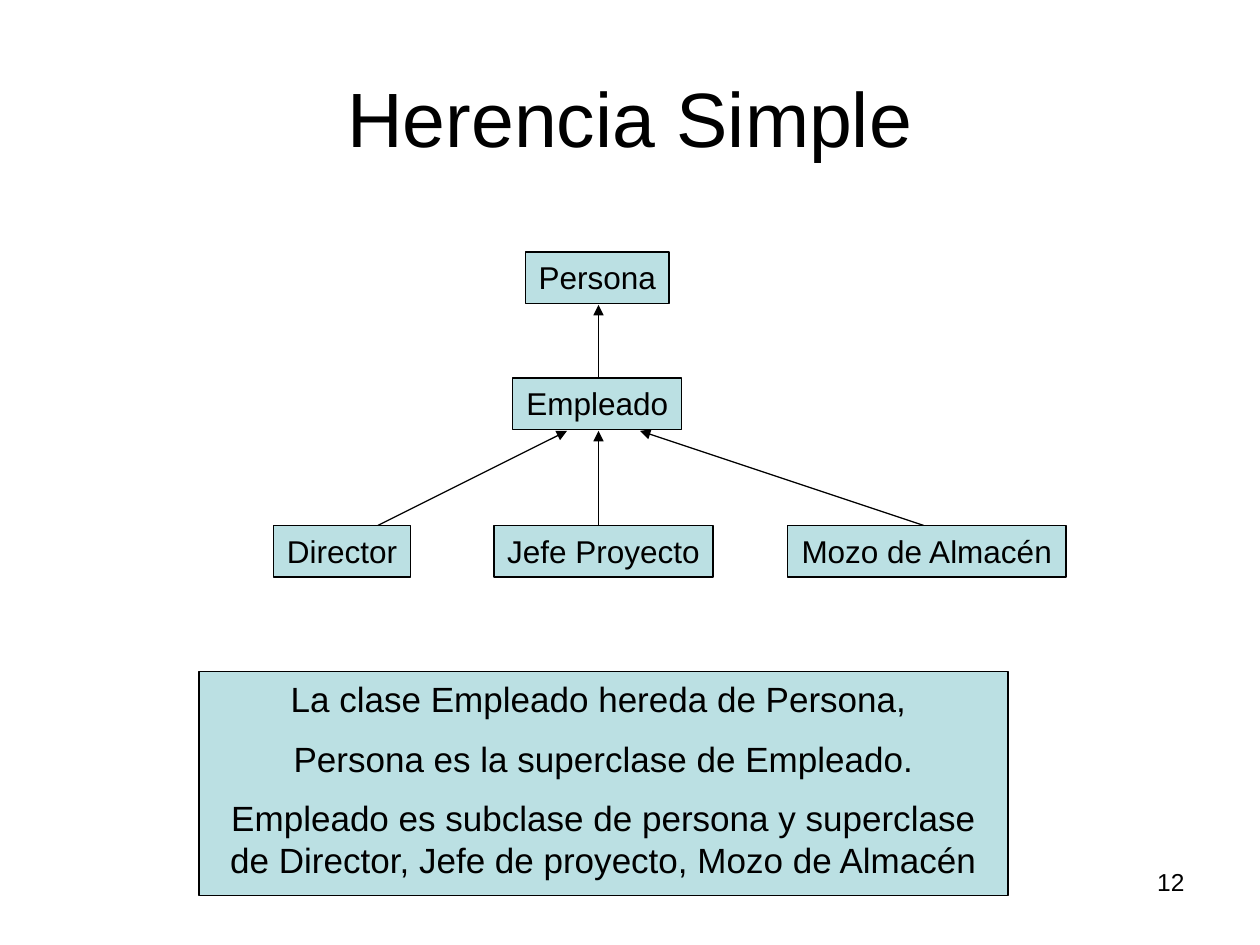
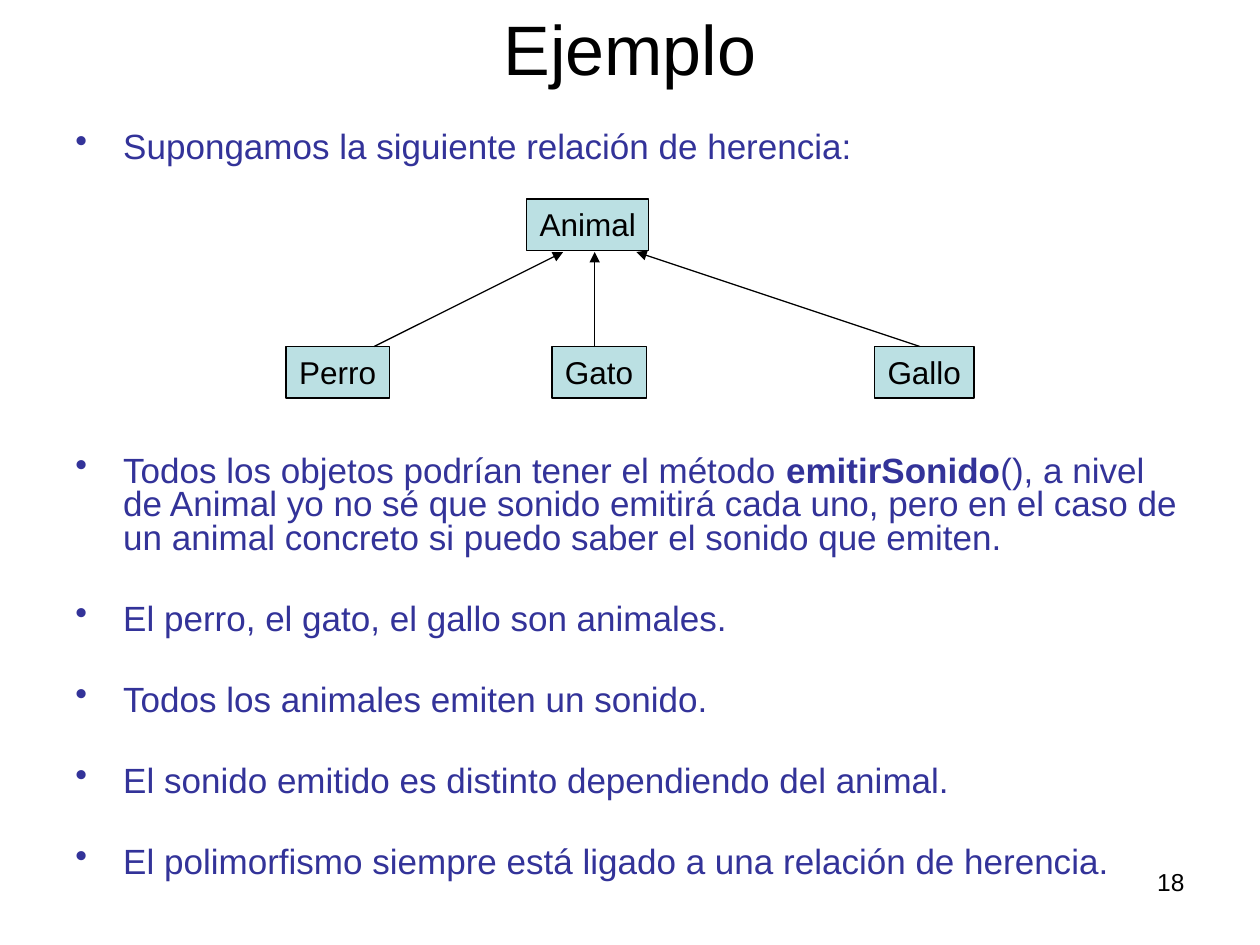
from dataclasses import dataclass

from lxml.etree import SubElement
from pptx import Presentation
from pptx.dml.color import RGBColor
from pptx.enum.shapes import MSO_CONNECTOR as Connector, MSO_SHAPE as Shape
from pptx.enum.text import MSO_ANCHOR as Anchor, MSO_AUTO_SIZE as AutoSize, PP_ALIGN as Align
from pptx.oxml.ns import qn
from pptx.util import Inches, Pt


@dataclass(frozen=True)
class Theme:
    """Hold the colours, font and type sizes of the deck."""
    font: str = "Arial"
    ink: RGBColor = RGBColor(0x00, 0x00, 0x00)
    bullet_ink: RGBColor = RGBColor(0x33, 0x33, 0x99)
    box_fill: RGBColor = RGBColor(0xBB, 0xE0, 0xE3)
    line_width: float = 0.75
    title_size: int = 44
    compact_title_size: int = 40
    body_size: int = 20
    class_size: int = 18
    number_size: int = 14


THEME = Theme()
CLASS_HEIGHT = 0.41
ARROW_GAP = 0.42
CHILD_DROP = 1.17
CHILD_ARROWS = [(0.83, 2.33), (2.58, 2.58), (5.16, 2.91)]


def write(frame, *paragraphs, size, color=THEME.ink, align=Align.CENTER, anchor=Anchor.TOP,
          wrap=True, fit=AutoSize.NONE, before=(0,), spacing=None, bullet_indent=None):
    """Fill a text frame; pieces between ** marks are bold."""
    frame.word_wrap, frame.auto_size, frame.vertical_anchor = wrap, fit, anchor
    for index, text in enumerate(paragraphs):
        paragraph = frame.paragraphs[0] if index == 0 else frame.add_paragraph()
        paragraph.alignment = align
        paragraph.space_before = Pt(before[min(index, len(before) - 1)])
        if spacing:
            paragraph.line_spacing = spacing
        if bullet_indent:
            properties = paragraph._p.get_or_add_pPr()
            properties.set("marL", str(Inches(bullet_indent)))
            properties.set("indent", str(-Inches(bullet_indent)))
            SubElement(properties, qn("a:buChar"), char="•")
        for position, piece in enumerate(text.split("**")):
            run = paragraph.add_run()
            run.text = piece
            run.font.name, run.font.size = THEME.font, Pt(size)
            run.font.bold = position % 2 == 1
            run.font.color.rgb = color


def filled_box(slide, left, top, width, height, *paragraphs, **text_format):
    """Draw an outlined, tinted rectangle with text."""
    box = slide.shapes.add_shape(Shape.RECTANGLE, *map(Inches, (left, top, width, height)))
    box.shadow.inherit = False
    box.fill.solid()
    box.fill.fore_color.rgb = THEME.box_fill
    box.line.color.rgb = THEME.ink
    box.line.width = Pt(THEME.line_width)
    write(box.text_frame, *paragraphs, fit=AutoSize.SHAPE_TO_FIT_TEXT, **text_format)


def class_box(slide, left, top, width, name):
    """Draw one class of the hierarchy."""
    filled_box(slide, left, top, width, CLASS_HEIGHT, name, size=THEME.class_size, wrap=False)


def inherit_arrow(slide, child_x, child_y, parent_x, parent_y):
    """Point from a subclass to its superclass."""
    arrow = slide.shapes.add_connector(
        Connector.STRAIGHT, *map(Inches, (child_x, child_y, parent_x, parent_y)))
    arrow.line.color.rgb = THEME.ink
    arrow.line.width = Pt(THEME.line_width)
    SubElement(arrow.line._get_or_add_ln(), qn("a:tailEnd"), type="triangle")
    SubElement(arrow._element.spPr, qn("a:effectLst"))


def family_tree(slide, left, top, parent, children):
    """Draw a superclass over its three subclasses; offsets count from the left edge."""
    name, offset, width = parent
    class_box(slide, left + offset, top, width, name)
    for (name, offset, width), (start, end) in zip(children, CHILD_ARROWS):
        class_box(slide, left + offset, top + CHILD_DROP, width, name)
        inherit_arrow(slide, left + start, top + CHILD_DROP, left + end, top + ARROW_GAP)


def bullet_list(slide, left, top, width, height, items, before):
    """Place the bulleted statements."""
    statements = slide.shapes.add_textbox(*map(Inches, (left, top, width, height)))
    write(statements.text_frame, *items, size=THEME.body_size, color=THEME.bullet_ink,
          align=Align.LEFT, before=before, spacing=0.8, bullet_indent=0.38)


def titled_slide(deck, title, number, top, height, size):
    """Add a slide with its title and page number."""
    slide = deck.slides.add_slide(deck.slide_layouts[5])
    heading = slide.shapes.title
    heading.left, heading.top, heading.width, heading.height = map(Inches, (0.5, top, 9, height))
    write(heading.text_frame, title, size=size, anchor=Anchor.MIDDLE)
    page = slide.shapes.add_textbox(*map(Inches, (7.17, 6.83, 2.33, 0.52)))
    write(page.text_frame, number, size=THEME.number_size, align=Align.RIGHT)
    return slide


def simple_inheritance_slide(deck):
    """Build the slide on simple inheritance."""
    slide = titled_slide(deck, "Herencia Simple", "12", 0.3, 1.25, THEME.title_size)
    left, top = 2.17, 3
    class_box(slide, left + 2, top - 1, 1.14, "Persona")
    inherit_arrow(slide, left + 2.58, top, left + 2.58, top - 1 + ARROW_GAP)
    family_tree(slide, left, top, ("Empleado", 1.9, 1.34),
                [("Director", 0, 1.09), ("Jefe Proyecto", 1.75, 1.74),
                 ("Mozo de Almacén", 4.08, 2.21)])
    filled_box(slide, 1.58, 5.33, 6.42, 1.78,
               "La clase Empleado hereda de Persona, ",
               "Persona es la superclase de Empleado.",
               "Empleado es subclase de persona y superclase de Director, "
               "Jefe de proyecto, Mozo de Almacén",
               size=THEME.body_size, before=(10,))


def example_slide(deck):
    """Build the slide with the animal example."""
    slide = titled_slide(deck, "Ejemplo", "18", 0, 0.75, THEME.compact_title_size)
    bullet_list(slide, 0.5, 1, 9, 6.25, [
        "Supongamos la siguiente relación de herencia:",
        "Todos los objetos podrían tener el método **emitirSonido**(), a nivel de Animal "
        "yo no sé que sonido emitirá cada uno, pero en el caso de un animal concreto "
        "si puedo saber el sonido que emiten.",
        "El perro, el gato, el gallo son animales.",
        "Todos los animales emiten un sonido.",
        "El sonido emitido es distinto dependiendo del animal.",
        "El polimorfismo siempre está ligado a una relación de herencia.",
    ], before=(4, 166, 27))
    family_tree(slide, 2.14, 1.58, ("Animal", 2.04, 0.97),
                [("Perro", 0.13, 0.82), ("Gato", 2.24, 0.75), ("Gallo", 4.8, 0.79)])


def main():
    """Build and save the deck."""
    deck = Presentation()
    deck.slide_width, deck.slide_height = Inches(10), Inches(7.5)
    simple_inheritance_slide(deck)
    example_slide(deck)
    deck.save("out.pptx")


main()
